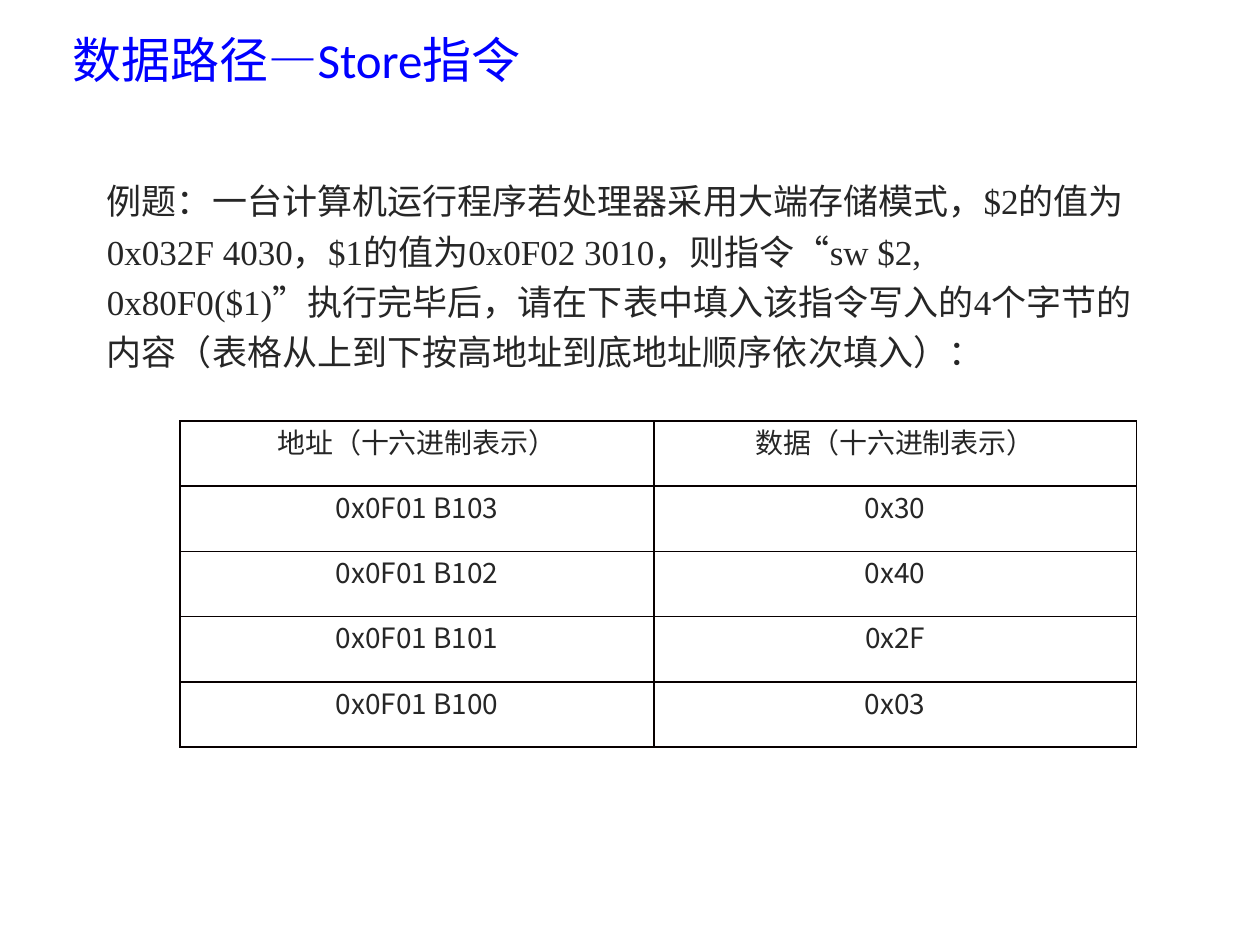
"""Build the slide on the data path of the Store instruction."""
from lxml import etree
from pptx import Presentation
from pptx.dml.color import RGBColor
from pptx.enum.lang import MSO_LANGUAGE_ID
from pptx.enum.shapes import MSO_SHAPE
from pptx.enum.text import MSO_ANCHOR, PP_ALIGN
from pptx.oxml.ns import qn
from pptx.util import Inches, Pt

CENTER = PP_ALIGN.CENTER
MIDDLE = MSO_ANCHOR.MIDDLE
RECTANGLE = MSO_SHAPE.RECTANGLE
CHINESE = MSO_LANGUAGE_ID.SIMPLIFIED_CHINESE
CJK = "Noto Sans CJK SC"
BLUE, INK, BORDER, WHITE = "0000FF", "262626", "080000", "FFFFFF"

TITLE = [("数据路径—Store指令", "Calibri")]
EXERCISE = [
    ("例题：一台计算机运行程序", "Calibri"),
    ("若处理器采用大端存储模式，$2的值为0x032F 4030，$1的值为0x0F02 3010，"
     "则指令“sw $2, 0x80F0($1)”执行完毕后，请在下表中填入该指令写入的4个字节的内容"
     "（表格从上到下按高地址到底地址顺序依次填入）：", "Times New Roman"),
]
MEMORY = [
    ("地址（十六进制表示）", "数据（十六进制表示）"),
    ("0x0F01 B103", "0x30"),
    ("0x0F01 B102", "0x40"),
    ("0x0F01 B101", "0x2F"),
    ("0x0F01 B100", "0x03"),
]
COLUMN_WIDTHS = (3.76, 3.83)
TABLE_HEIGHT = 2.59


def color(value):
    return RGBColor.from_string(value)


def write(paragraph, pieces, size, ink):
    for words, typeface in pieces:
        run = paragraph.add_run()
        run.text = words
        font = run.font
        font.size, font.name, font.language_id = Pt(size), typeface, CHINESE
        font.color.rgb = color(ink)
        latin = run._r.get_or_add_rPr().find(qn("a:latin"))
        latin.addnext(etree.Element(qn("a:ea"), typeface=CJK))


def add_text(slide, box, pieces, size, ink):
    frame = slide.shapes.add_textbox(*map(Inches, box)).text_frame
    frame.word_wrap = True
    write(frame.paragraphs[0], pieces, size, ink)
    return frame


def add_footer_panel(slide, box):
    panel = slide.shapes.add_shape(RECTANGLE, *map(Inches, box))
    panel.shadow.inherit = False
    panel.fill.solid()
    panel.fill.fore_color.rgb = color(WHITE)
    panel.line.fill.background()


def add_borders(cell):
    properties = cell._tc.get_or_add_tcPr()
    for index, side in enumerate(("lnL", "lnR", "lnT", "lnB")):
        line = etree.Element(qn(f"a:{side}"), w=str(Pt(1)))
        fill = etree.SubElement(line, qn("a:solidFill"))
        etree.SubElement(fill, qn("a:srgbClr"), val=BORDER)
        properties.insert(index, line)


def add_memory_table(slide, left, top):
    table = slide.shapes.add_table(
        len(MEMORY), len(COLUMN_WIDTHS),
        *map(Inches, (left, top, sum(COLUMN_WIDTHS), TABLE_HEIGHT))).table
    for column, width in zip(table.columns, COLUMN_WIDTHS):
        column.width = Inches(width)
    for row, entries in zip(table.rows, MEMORY):
        row.height = Inches(TABLE_HEIGHT / len(MEMORY))
        for cell, entry in zip(row.cells, entries):
            cell.margin_left = cell.margin_right = Inches(0.07)
            cell.margin_top = cell.margin_bottom = 0
            cell.fill.background()
            add_borders(cell)
            paragraph = cell.text_frame.paragraphs[0]
            paragraph.alignment = CENTER
            write(paragraph, [(entry, CJK)], 16, INK)


def main():
    deck = Presentation()
    deck.slide_width, deck.slide_height = Inches(10), Inches(7.5)
    slide = deck.slides.add_slide(deck.slide_layouts[6])
    add_footer_panel(slide, (0, 5.29, 10, 1.75))
    title = add_text(slide, (0.48, 0.09, 9.19, 0.75), TITLE, 28, BLUE)
    title.vertical_anchor = MIDDLE
    exercise = add_text(slide, (0.75, 1.31, 8.42, 1.72), EXERCISE, 20, INK)
    exercise.paragraphs[0].line_spacing = 1.2
    add_memory_table(slide, 1.43, 3.34)
    deck.save("out.pptx")


if __name__ == "__main__":
    main()
